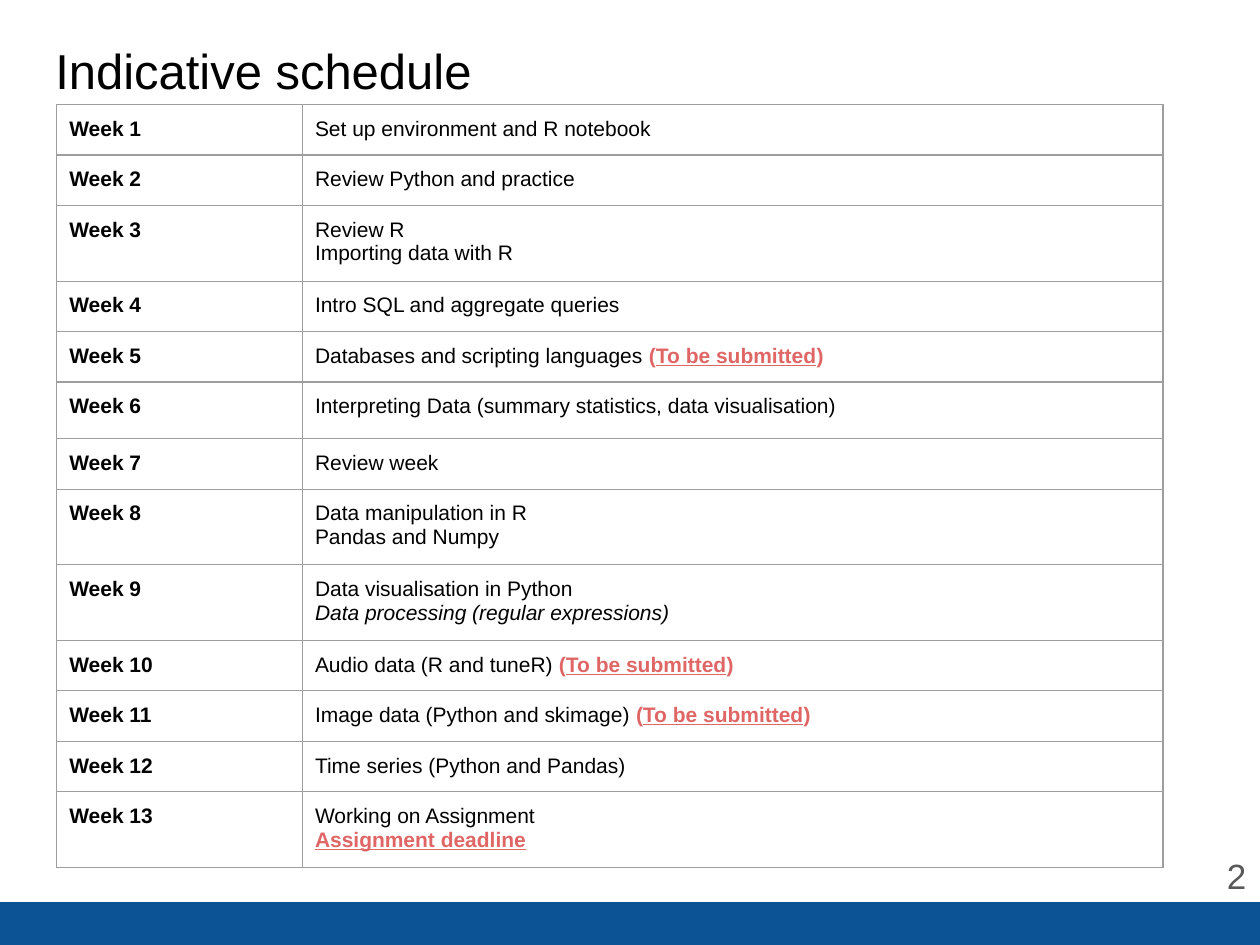
from dataclasses import dataclass

from lxml.etree import SubElement as Sub
from pptx import Presentation
from pptx.dml.color import RGBColor as Rgb
from pptx.enum.shapes import MSO_SHAPE as Kind
from pptx.enum.text import MSO_ANCHOR as Anchor, PP_ALIGN as Align
from pptx.oxml.ns import qn
from pptx.util import Pt


@dataclass(frozen=True)
class Theme:
    face: str = "Arial"
    ink: str = "000000"
    alert: str = "E06666"
    gray: str = "595959"
    rule: str = "9E9E9E"
    band: str = "0B5394"
    head: int = 28
    num: int = 20
    body: int = 12


T = Theme()
PX = 9144  # 100 px to the inch
PAD = 10 * PX


def style(font, size, color, bold=False):
    font.name, font.size, font.bold = T.face, Pt(size), bold
    font.color.rgb = Rgb.from_string(color)


def label(text, box, size, color, top=PAD):
    """Add a one-line text box and return its frame."""
    frame = slide.shapes.add_textbox(*(n * PX for n in box)).text_frame
    frame.word_wrap = True
    frame.margin_left = frame.margin_right = frame.margin_bottom = PAD
    frame.margin_top = top
    frame.text = text
    style(frame.paragraphs[0].font, size, color)
    return frame


prs = Presentation()
prs.slide_width, prs.slide_height = 1000 * PX, 750 * PX
slide = prs.slides.add_slide(prs.slide_layouts[6])

band = slide.shapes.add_shape(Kind.RECTANGLE, 0, 716 * PX, 1000 * PX, 34 * PX)
band.shadow.inherit = False
band.fill.solid()
band.fill.fore_color.rgb = Rgb.from_string(T.band)
band.line.fill.background()

label("Indicative schedule", (34, 18, 932, 83), T.head, T.ink, top=14 * PX)
page = label("2", (935, 666, 64, 57), T.num, T.gray)
page.vertical_anchor = Anchor.MIDDLE
page.paragraphs[0].alignment = Align.RIGHT

# Each week holds lines, each line holds (text, marks) runs.
# Marks: a = alert colour and bold, u = underline, i = italic
due = [("(", "a"), ("To be submitted", "au"), (")", "a")]
weeks = [
    [[("Set up environment and R notebook", "")]],
    [[("Review Python and practice", "")]],
    [[("Review R", "")], [("Importing data with R", "")]],
    [[("Intro SQL and aggregate queries", "")]],
    [[("Databases and scripting languages ", ""), *due]],
    [[("Interpreting Data (summary statistics, data visualisation)", "")]],
    [[("Review week", "")]],
    [[("Data manipulation in R", "")], [("Pandas and Numpy", "")]],
    [[("Data visualisation in Python", "")],
     [("Data processing (regular expressions)", "i")]],
    [[("Audio data (R and tuneR) ", ""), *due]],
    [[("Image data (Python and skimage) ", ""), *due]],
    [[("Time series (Python and Pandas)", "")]],
    [[("Working on Assignment", "")], [("Assignment deadline", "au")]],
]

cols = [195, 683]
rows = [40] * len(weeks)
rows[5] = 45
grid = slide.shapes.add_table(len(rows), len(cols), 45 * PX, 83 * PX,
                              sum(cols) * PX, sum(rows) * PX).table
grid.first_row = grid.horz_banding = False
for col, width in zip(grid.columns, cols):
    col.width = width * PX
for row, height in zip(grid.rows, rows):
    row.height = height * PX

for num, lines in enumerate(weeks):
    name, topic = grid.rows[num].cells
    name.text = f"Week {num + 1}"
    style(name.text_frame.paragraphs[0].font, T.body, T.ink, bold=True)

    frame = topic.text_frame
    for pos, line in enumerate(lines):
        para = frame.add_paragraph() if pos else frame.paragraphs[0]
        style(para.font, T.body, T.ink)
        for text, marks in line:
            run = para.add_run()
            run.text = text
            style(run.font, T.body, T.alert if "a" in marks else T.ink, "a" in marks)
            run.font.underline = "u" in marks
            run.font.italic = "i" in marks

for cell in grid.iter_cells():
    cell.margin_left = cell.margin_right = PAD
    cell.margin_top = cell.margin_bottom = PAD
    props = cell._tc.get_or_add_tcPr()
    for side in ("lnL", "lnR", "lnT", "lnB"):
        edge = Sub(props, qn(f"a:{side}"), w=str(Pt(0.75)))
        Sub(Sub(edge, qn("a:solidFill")), qn("a:srgbClr"), val=T.rule)
    cell.fill.background()

prs.save("out.pptx")
